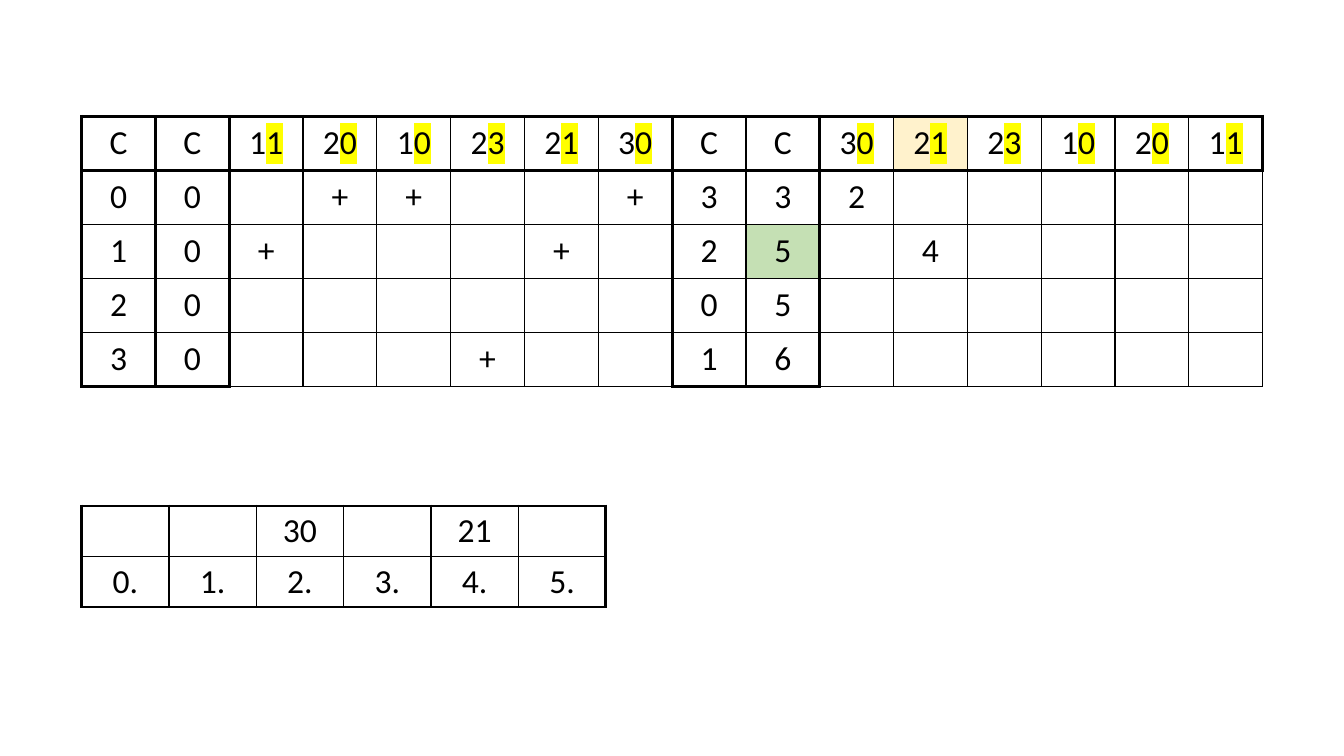
from lxml.etree import SubElement
from pptx import Presentation
from pptx.dml.color import RGBColor
from pptx.enum.text import MSO_ANCHOR, PP_ALIGN
from pptx.oxml.ns import qn
from pptx.util import Pt

INK, MARK, SAND, GREEN = "000000", "FFFF00", "FFF2CC", "C5E0B4"
THIN, BOLD = 1, 2.25


def color(code):
    return RGBColor.from_string(code)


class Sheet:
    font, size = "Calibri", 24

    def __init__(self, slide):
        self.slide = slide

    def table(self, rows, left, top, wide, high, pad):
        count = len(rows[0])
        frame = self.slide.shapes.add_table(
            len(rows), count, Pt(left), Pt(top),
            Pt(wide * count), Pt(high * len(rows)))
        grid = frame.table
        grid.first_row = grid.horz_banding = False
        for col in grid.columns:
            col.width = Pt(wide)
        for line, words in zip(grid.rows, rows):
            line.height = Pt(high)
            for cell, word in zip(line.cells, words):
                self.text(cell, word, pad)
        return grid

    def text(self, cell, word, pad):
        cell.vertical_anchor = MSO_ANCHOR.MIDDLE
        cell.margin_left = cell.margin_right = Pt(pad * 2)
        cell.margin_top = cell.margin_bottom = Pt(pad)
        para = cell.text_frame.paragraphs[0]
        para.alignment = PP_ALIGN.CENTER
        para.font.name = self.font
        para.font.size = Pt(self.size)
        para.font.color.rgb = color(INK)
        # A bar splits off the marked part of the word
        plain, _, lit = word.partition("|")
        if plain:
            para.add_run().text = plain
        if lit:
            run = para.add_run()
            run.text = lit
            glow = SubElement(run.font._element, qn("a:highlight"))
            SubElement(glow, qn("a:srgbClr"), val=MARK)

    def edges(self, cell, left, right, top, bottom):
        sides = {"L": left, "R": right, "T": top, "B": bottom}
        for side, bold in sides.items():
            width = Pt(BOLD if bold else THIN)
            line = SubElement(cell._tc.get_or_add_tcPr(), qn("a:ln" + side), w=str(width))
            fill = SubElement(line, qn("a:solidFill"))
            SubElement(fill, qn("a:srgbClr"), val=INK)

    def fill(self, cell, code=None):
        if code:
            cell.fill.solid()
            cell.fill.fore_color.rgb = color(code)
        else:
            cell.fill.background()


def main():
    deck = Presentation()
    deck.slide_width, deck.slide_height = Pt(960), Pt(540)
    sheet = Sheet(deck.slides.add_slide(deck.slide_layouts[6]))

    # Sorting table: keys, then counts, then keys in reverse
    keys = ["1|1", "2|0", "1|0", "2|3", "2|1", "3|0"]
    body = [  # row, plus columns, count, sum, placed key
        ("0", (1, 2, 5), "3", "3", {0: "2"}),
        ("1", (0, 4), "2", "5", {1: "4"}),
        ("2", (), "0", "5", {}),
        ("3", (3,), "1", "6", {}),
    ]
    span = range(len(keys))
    rows = [["C", "C", *keys, "C", "C", *reversed(keys)]]
    for name, hits, count, total, spots in body:
        rows.append([name, "0", *("+" if i in hits else "" for i in span),
                     count, total, *(spots.get(i, "") for i in span)])
    sort = sheet.table(rows, 58.3, 83, 52.74, 38.6, 4.6)
    heavy = {0, 1, 2, 8, 9, 10}
    tint = {(0, 11): SAND, (2, 9): GREEN}
    for r in range(len(rows)):
        for c in range(len(rows[0])):
            cell = sort.cell(r, c)
            ends = heavy | {16} if r == 0 else heavy
            foot = r == 0 or (r == 4 and c in (0, 1, 8, 9))
            sheet.edges(cell, c in ends, c + 1 in ends, r < 2, foot)
            sheet.fill(cell, tint.get((r, c)))

    # Result table: placed keys above their indexes
    rows = [["", "", "30", "", "21", ""], [f"{i}." for i in span]]
    result = sheet.table(rows, 58.3, 361.4, 62.4, 36, 3.4)
    for r in range(2):
        for c in span:
            cell = result.cell(r, c)
            sheet.edges(cell, c == 0, c == 5, r == 0, r == 1)
            sheet.fill(cell)

    deck.save("out.pptx")


if __name__ == "__main__":
    main()
